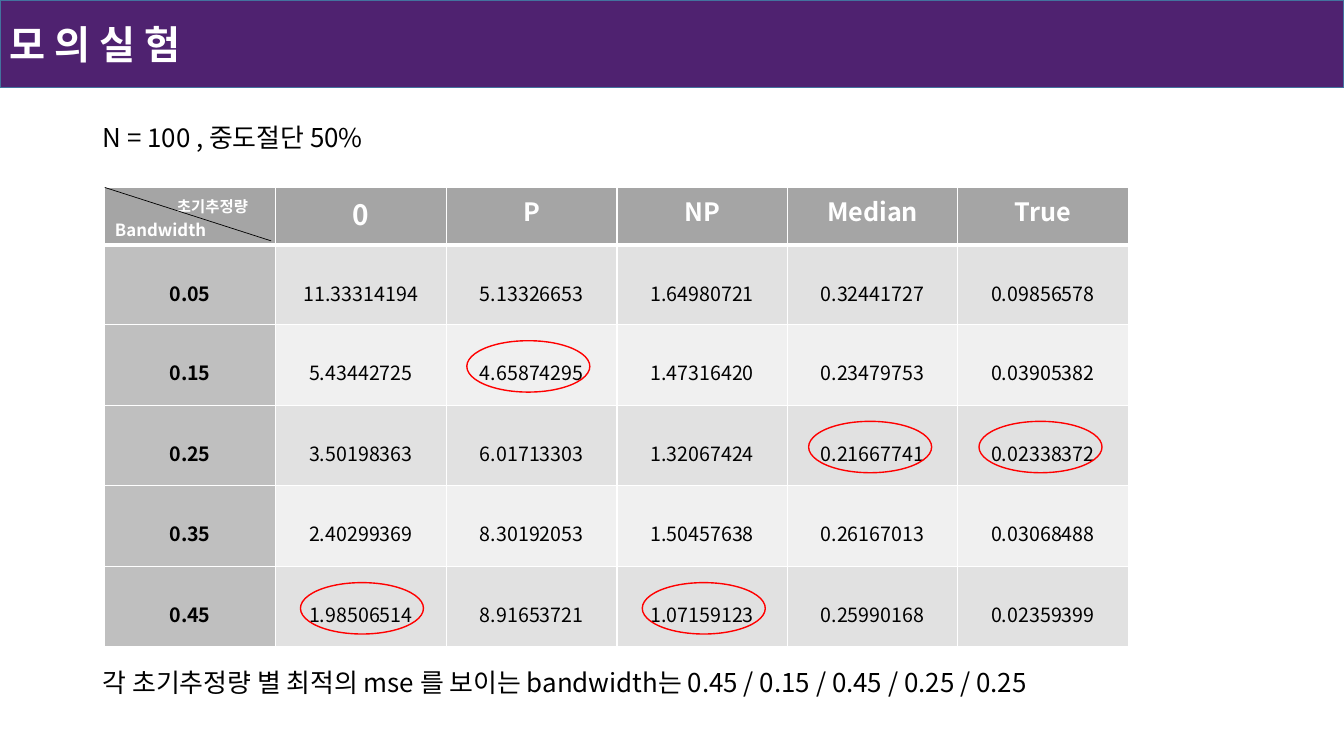
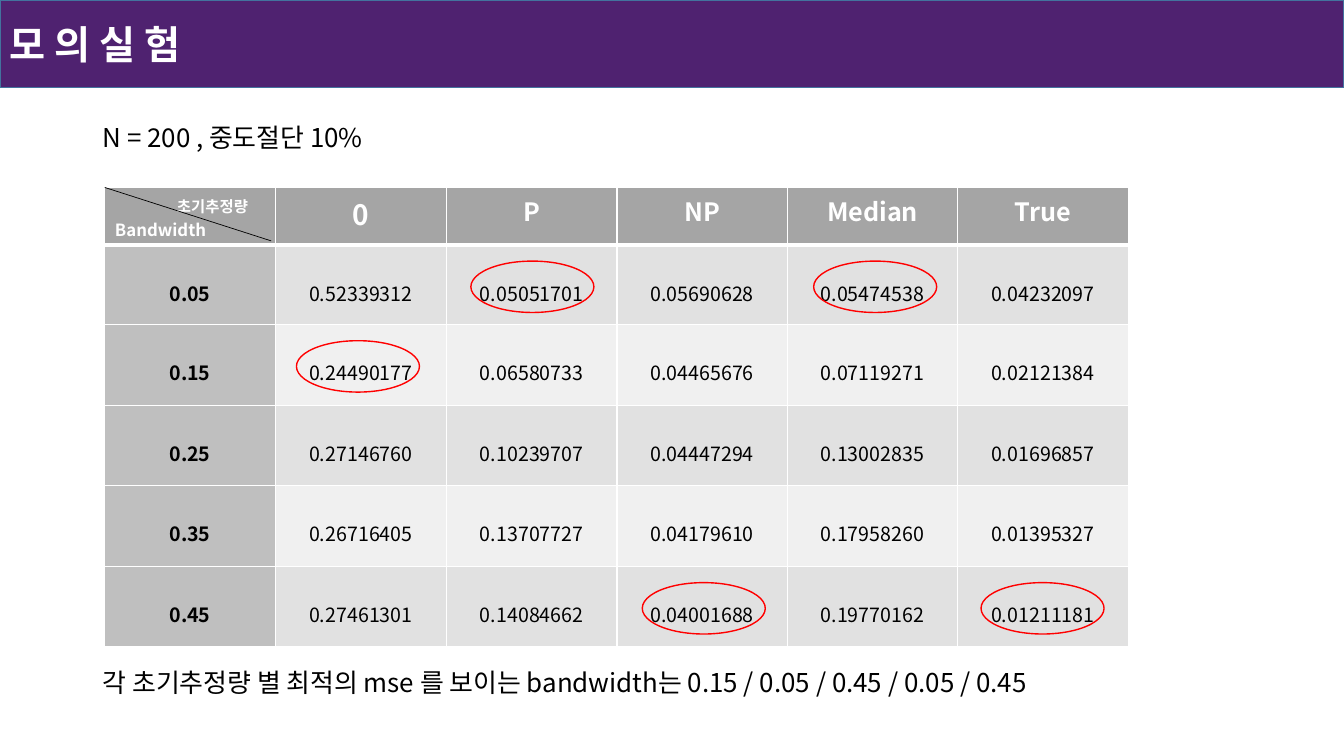
from dataclasses import dataclass
from typing import Any

from lxml import etree
from pptx import Presentation
from pptx.dml.color import RGBColor
from pptx.enum.shapes import MSO_CONNECTOR, MSO_SHAPE
from pptx.enum.text import MSO_ANCHOR, PP_ALIGN
from pptx.oxml.ns import qn
from pptx.util import Pt

RECTANGLE, ELLIPSE = MSO_SHAPE.RECTANGLE, MSO_SHAPE.OVAL
STRAIGHT = MSO_CONNECTOR.STRAIGHT
LEFT, CENTER, RIGHT = PP_ALIGN.LEFT, PP_ALIGN.CENTER, PP_ALIGN.RIGHT
MIDDLE = MSO_ANCHOR.MIDDLE

EMU_PER_PX = 9144  # 100 px to the inch
SLIDE_WIDTH, SLIDE_HEIGHT = 1333, 750
BLANK_LAYOUT = 6

PURPLE = RGBColor(0x4F, 0x22, 0x70)
BAND_EDGE = RGBColor(0x43, 0x73, 0x9E)
WHITE = RGBColor(0xFF, 0xFF, 0xFF)
BLACK = RGBColor(0x00, 0x00, 0x00)
RED = RGBColor(0xFF, 0x00, 0x00)
HEADER_GRAY = RGBColor(0xA5, 0xA5, 0xA5)
LABEL_GRAY = RGBColor(0xBF, 0xBF, 0xBF)
ROW_GRAYS = (RGBColor(0xE1, 0xE1, 0xE1), RGBColor(0xF0, 0xF0, 0xF0))

FONT = "Noto Sans CJK KR"
TITLE_FORMAT = {"size": Pt(28), "bold": True}
BODY_FORMAT = {"size": Pt(18.5), "bold": False}
CORNER_FORMAT = {"size": Pt(12), "bold": True}
CORNER_SMALL_FORMAT = {"size": Pt(11), "bold": True}
ZERO_FORMAT = {"size": Pt(20), "bold": True}
HEADER_FORMAT = {"size": Pt(18), "bold": True}
LABEL_FORMAT = {"size": Pt(14), "bold": True}
VALUE_FORMAT = {"size": Pt(14), "bold": False}

TITLE = "모 의 실 험"
ESTIMATORS = ("0", "P", "NP", "Median", "True")
BANDWIDTHS = ("0.05", "0.15", "0.25", "0.35", "0.45")

TABLE_LEFT, TABLE_TOP = 104, 186
COLUMN_WIDTHS = (169, 170, 169, 169, 169, 169)
ROW_HEIGHTS = (57, 79, 80, 80, 80, 80)
VALUE_MARGIN_TOP = 33
RING_WIDTH, RING_HEIGHT, RING_OFFSET = 122, 51, 16


@dataclass(frozen=True)
class Box:
    left: int
    top: int
    width: int
    height: int

    def emu(self) -> tuple[int, ...]:
        return tuple(map(px, (self.left, self.top, self.width, self.height)))


@dataclass(frozen=True)
class Experiment:
    sample_size: int
    censoring: str
    errors: tuple[tuple[str, ...], ...]
    ring_lefts: tuple[int, ...]

    def best_rows(self) -> list[int]:
        """Index of the smallest error for each estimator."""
        return [
            min(range(len(BANDWIDTHS)), key=lambda row: float(column[row]))
            for column in zip(*self.errors)
        ]


EXPERIMENTS = (
    Experiment(
        100,
        "50%",
        (
            ("11.33314194", "5.13326653", "1.64980721", "0.32441727", "0.09856578"),
            ("5.43442725", "4.65874295", "1.47316420", "0.23479753", "0.03905382"),
            ("3.50198363", "6.01713303", "1.32067424", "0.21667741", "0.02338372"),
            ("2.40299369", "8.30192053", "1.50457638", "0.26167013", "0.03068488"),
            ("1.98506514", "8.91653721", "1.07159123", "0.25990168", "0.02359399"),
        ),
        (298, 463, 637, 802, 971),
    ),
    Experiment(
        200,
        "10%",
        (
            ("0.52339312", "0.05051701", "0.05690628", "0.05474538", "0.04232097"),
            ("0.24490177", "0.06580733", "0.04465676", "0.07119271", "0.02121384"),
            ("0.27146760", "0.10239707", "0.04447294", "0.13002835", "0.01696857"),
            ("0.26716405", "0.13707727", "0.04179610", "0.17958260", "0.01395327"),
            ("0.27461301", "0.14084662", "0.04001688", "0.19770162", "0.01211181"),
        ),
        (294, 467, 637, 807, 973),
    ),
)


def px(length: int) -> int:
    return length * EMU_PER_PX


def set_values(target: Any, values: dict[str, Any]) -> None:
    for name, value in values.items():
        setattr(target, name, value)


def write(paragraph: Any, text: str, text_format: dict[str, Any],
          color: RGBColor, alignment: Any) -> None:
    paragraph.alignment = alignment
    run = paragraph.add_run()
    run.text = text
    set_values(run.font, {"name": FONT, **text_format})
    run.font.color.rgb = color
    east_asian = etree.SubElement(run.font._element, qn("a:ea"))
    east_asian.set("typeface", FONT)


def add_text(slide: Any, box: Box, text: str, text_format: dict[str, Any],
             color: RGBColor) -> None:
    frame = slide.shapes.add_textbox(*box.emu()).text_frame
    set_values(frame, {"word_wrap": True, "vertical_anchor": MIDDLE})
    write(frame.paragraphs[0], text, text_format, color, LEFT)


def add_outlined(slide: Any, kind: Any, box: Box, line_color: RGBColor,
                 fill: RGBColor | None = None) -> None:
    shape = slide.shapes.add_shape(kind, *box.emu())
    shape.shadow.inherit = False
    if fill is None:
        shape.fill.background()
    else:
        shape.fill.solid()
        shape.fill.fore_color.rgb = fill
    shape.line.color.rgb = line_color
    shape.line.width = Pt(1)


def style_cell(cell: Any, fill: RGBColor, top: float, bottom: float) -> None:
    """Fill the cell and give it white borders; top and bottom are in points."""
    cell.fill.solid()
    cell.fill.fore_color.rgb = fill
    properties = cell._tc.get_or_add_tcPr()
    borders = {"a:lnL": 1, "a:lnR": 1, "a:lnT": top, "a:lnB": bottom}
    for index, (tag, width) in enumerate(borders.items()):
        border = etree.Element(qn(tag), w=str(Pt(width)))
        solid = etree.SubElement(border, qn("a:solidFill"))
        etree.SubElement(solid, qn("a:srgbClr"), val=str(WHITE))
        properties.insert(index, border)


def fill_corner(cell: Any) -> None:
    set_values(cell, {"margin_top": px(7), "margin_bottom": px(3),
                      "margin_right": px(27)})
    frame = cell.text_frame
    write(frame.paragraphs[0], "초기추정량", CORNER_SMALL_FORMAT, WHITE, RIGHT)
    write(frame.add_paragraph(), "Bandwidth", CORNER_FORMAT, WHITE, LEFT)


def add_error_table(slide: Any, experiment: Experiment) -> None:
    box = Box(TABLE_LEFT, TABLE_TOP, sum(COLUMN_WIDTHS), sum(ROW_HEIGHTS))
    table = slide.shapes.add_table(
        len(ROW_HEIGHTS), len(COLUMN_WIDTHS), *box.emu()).table
    table.horz_banding = False
    for column, width in zip(table.columns, COLUMN_WIDTHS):
        column.width = px(width)
    for row, height in zip(table.rows, ROW_HEIGHTS):
        row.height = px(height)

    for column in range(len(COLUMN_WIDTHS)):
        style_cell(table.cell(0, column), HEADER_GRAY, 1, 3)
    fill_corner(table.cell(0, 0))
    for column, name in enumerate(ESTIMATORS, start=1):
        text_format = ZERO_FORMAT if name == "0" else HEADER_FORMAT
        paragraph = table.cell(0, column).text_frame.paragraphs[0]
        write(paragraph, name, text_format, WHITE, CENTER)

    for row, (bandwidth, errors) in enumerate(
            zip(BANDWIDTHS, experiment.errors), start=1):
        for column, text in enumerate((bandwidth, *errors)):
            cell = table.cell(row, column)
            is_label = column == 0
            fill = LABEL_GRAY if is_label else ROW_GRAYS[(row - 1) % 2]
            style_cell(cell, fill, 3 if row == 1 else 1, 1)
            cell.margin_top = px(VALUE_MARGIN_TOP)
            write(cell.text_frame.paragraphs[0], text,
                  LABEL_FORMAT if is_label else VALUE_FORMAT, BLACK, CENTER)


def add_corner_diagonal(slide: Any) -> None:
    line = slide.shapes.add_connector(
        STRAIGHT, *map(px, (TABLE_LEFT, TABLE_TOP, 269, 239)))
    line.line.color.rgb = BLACK
    line.line.width = Pt(0.5)
    etree.SubElement(line._element.spPr, qn("a:effectLst"))


def add_experiment_slide(presentation: Any, experiment: Experiment) -> None:
    slide = presentation.slides.add_slide(
        presentation.slide_layouts[BLANK_LAYOUT])
    band = Box(0, 0, SLIDE_WIDTH, 87)
    add_outlined(slide, RECTANGLE, band, BAND_EDGE, PURPLE)
    add_text(slide, band, TITLE, TITLE_FORMAT, WHITE)

    best_rows = experiment.best_rows()
    best = " / ".join(BANDWIDTHS[row] for row in best_rows)
    setting = f"N = {experiment.sample_size} , 중도절단 {experiment.censoring}"
    conclusion = f"각 초기추정량 별 최적의 mse 를 보이는 bandwidth는 {best}"
    for top, text in ((116, setting), (657, conclusion)):
        add_text(slide, Box(92, top, 1150, 40), text, BODY_FORMAT, BLACK)

    add_error_table(slide, experiment)
    add_corner_diagonal(slide)
    for left, row in zip(experiment.ring_lefts, best_rows):
        top = TABLE_TOP + sum(ROW_HEIGHTS[:row + 1]) + RING_OFFSET
        add_outlined(slide, ELLIPSE, Box(left, top, RING_WIDTH, RING_HEIGHT), RED)


def main() -> None:
    presentation = Presentation()
    set_values(presentation, {"slide_width": px(SLIDE_WIDTH),
                              "slide_height": px(SLIDE_HEIGHT)})
    for experiment in EXPERIMENTS:
        add_experiment_slide(presentation, experiment)
    presentation.save("out.pptx")


if __name__ == "__main__":
    main()
